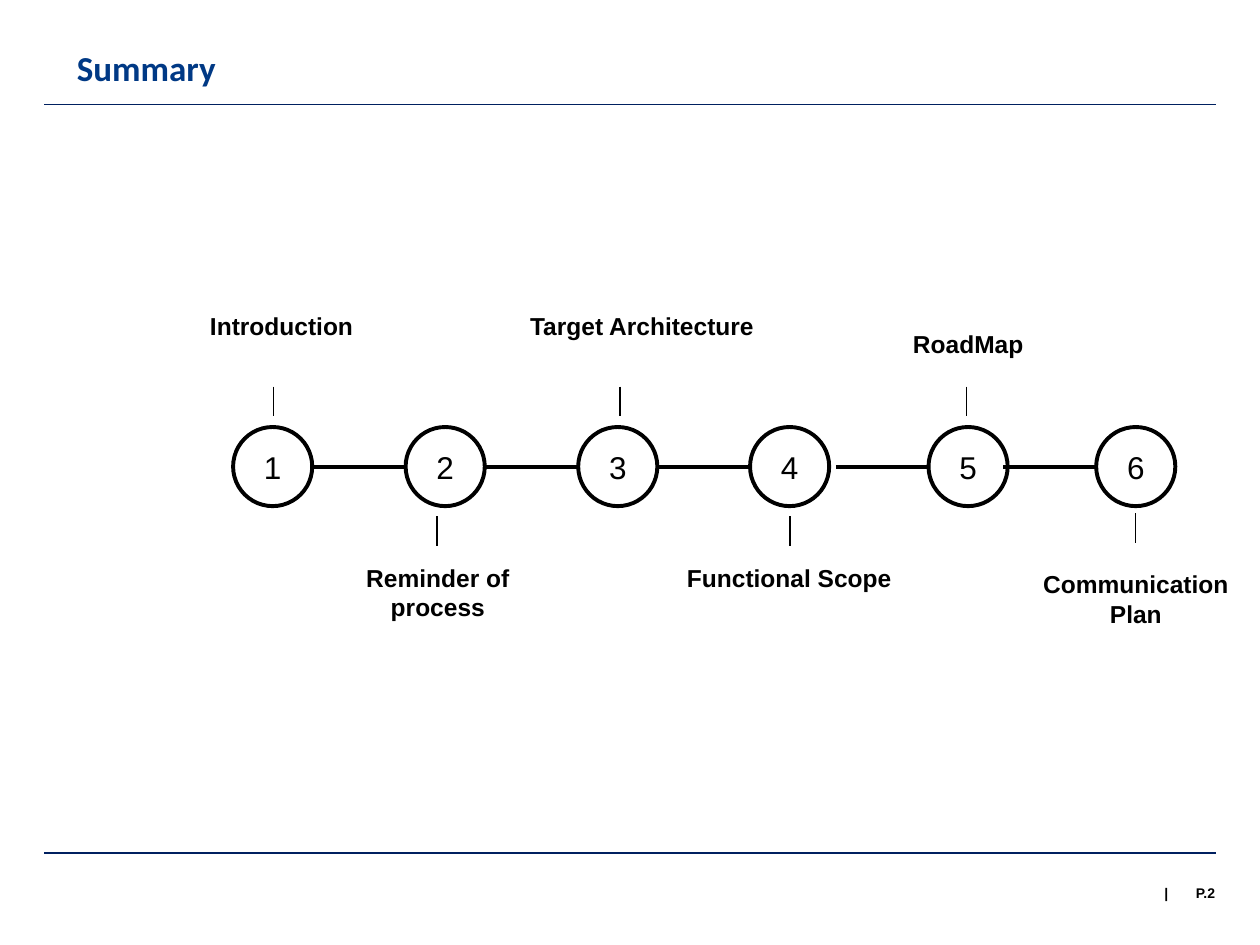
from pptx import Presentation
from pptx.dml.color import RGBColor
from pptx.enum.shapes import MSO_CONNECTOR, MSO_SHAPE
from pptx.enum.text import MSO_ANCHOR as Anchor, PP_ALIGN as Align
from pptx.oxml.ns import qn
from pptx.util import Pt
from lxml import etree

BLACK = RGBColor(0x00, 0x00, 0x00)
NAVY = RGBColor(0x00, 0x20, 0x60)
BLUE = RGBColor(0x00, 0x39, 0x85)

TITLE = "Summary"
PAGE = "P.2"

# label, label box (left, top, width, height), circle left, tick x, tick top
STEPS = [
    ("Introduction", (67.7, 174.2, 186.5, 41), 133.2, 156.4, 221),
    ("Reminder of process", (187.2, 318.2, 126, 41), 231.8, 249.8, 295),
    ("Target Architecture", (277.2, 174.2, 179.3, 41), 330.4, 354.3, 221),
    ("Functional Scope", (357.8, 318.2, 186.5, 41), 428.6, 451.4, 295),
    ("RoadMap", (486, 184.3, 134.6, 24.5), 530.6, 552.4, 221),
    ("Communication Plan", (581.8, 321.8, 134.6, 24.5), 626.4, 648.7, 293.2),
]
CIRCLE_TOP, DIAMETER = 244, 45.2
AXIS_Y = CIRCLE_TOP + DIAMETER / 2
LINK_LENGTH = 53
TICK_LENGTH = 17

prs = Presentation()
prs.slide_width, prs.slide_height = Pt(720), Pt(540)
s = prs.slides.add_slide(prs.slide_layouts[6])


def write(sp, text, size, font="Arial", color=BLACK, bold=False,
          align=Align.CENTER, anchor=Anchor.TOP, inset=(0, 0), spacing=None):
    tf = sp.text_frame
    tf.word_wrap = True
    tf.vertical_anchor = anchor
    tf.margin_left = tf.margin_right = Pt(inset[0])
    tf.margin_top = tf.margin_bottom = Pt(inset[1])
    p = tf.paragraphs[0]
    p.alignment = align
    p.line_spacing = spacing
    r = p.add_run()
    r.text = text
    r.font.name, r.font.size, r.font.bold = font, Pt(size), bold
    r.font.color.rgb = color


def add_text(box, text, size, **fmt):
    write(s.shapes.add_textbox(*map(Pt, box)), text, size, **fmt)


def add_line(x1, y1, x2, y2, width=0.75, color=BLACK):
    line = s.shapes.add_connector(MSO_CONNECTOR.STRAIGHT, *map(Pt, (x1, y1, x2, y2)))
    line.line.color.rgb = color
    line.line.width = Pt(width)
    etree.SubElement(line._element.spPr, qn("a:effectLst"))


# Header and footer
for y in (487.4, 59.6):
    add_line(25.4, y, 694.6, y, color=NAVY)
add_text((43.9, 20, 616.3, 39.6), TITLE, 20, font="Calibri", color=BLUE, bold=True,
         align=Align.LEFT, anchor=Anchor.MIDDLE, spacing=0.9)
add_text((663.5, 505.7, 5.8, 34.3), "|", 8, bold=True)
add_text((666, 505.7, 28.4, 34.3), PAGE, 8, bold=True, align=Align.RIGHT)

# Numbered timeline
for number, (label, box, left, tick_x, tick_top) in enumerate(STEPS, 1):
    if number > 1:
        add_line(left - LINK_LENGTH, AXIS_Y, left, AXIS_Y, width=2.25)
    sp = s.shapes.add_shape(MSO_SHAPE.OVAL, Pt(left), Pt(CIRCLE_TOP),
                            Pt(DIAMETER), Pt(DIAMETER))
    sp.shadow.inherit = False
    sp.fill.background()
    sp.line.color.rgb = BLACK
    sp.line.width = Pt(2.25)
    write(sp, str(number), 18, anchor=Anchor.MIDDLE)
    add_line(tick_x, tick_top, tick_x, tick_top + TICK_LENGTH)
    add_text(box, label, 14, bold=True, inset=(7.2, 3.6))

prs.save("out.pptx")
